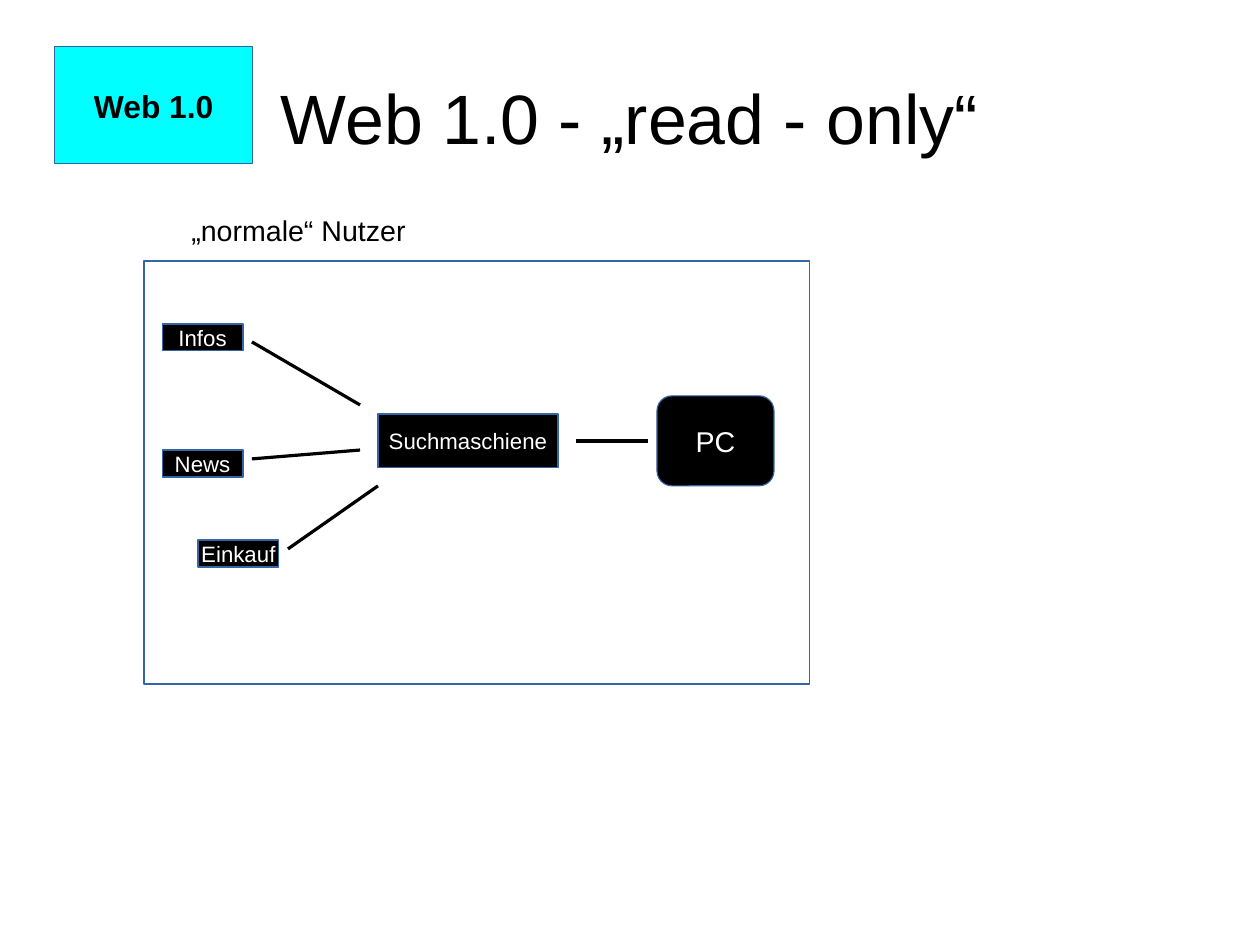
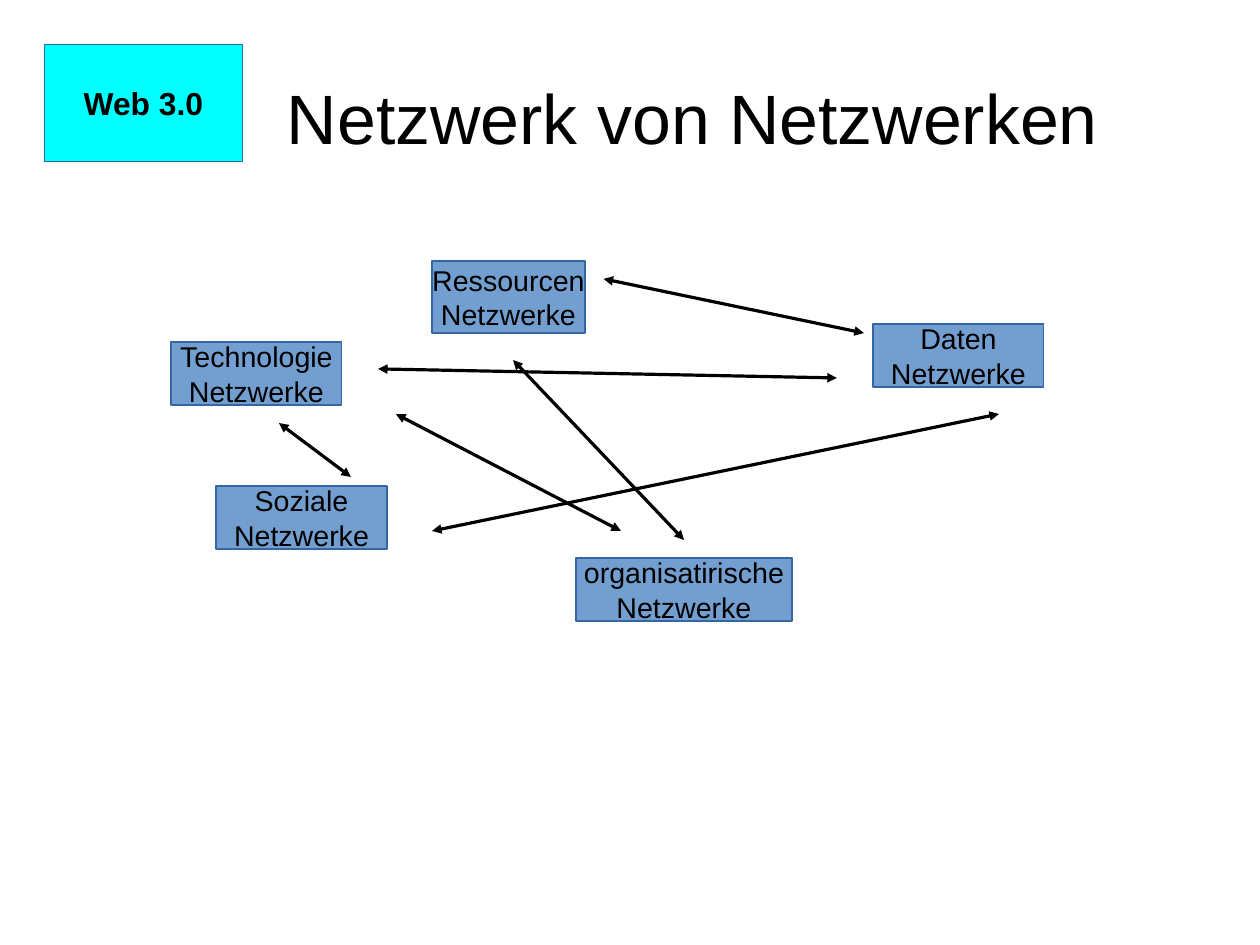
import pptx
import pptx.dml.color
import pptx.enum.shapes
import pptx.enum.text
import pptx.oxml.xmlchemy
import pptx.util

Pt = pptx.util.Pt
RGBColor = pptx.dml.color.RGBColor
OxmlElement = pptx.oxml.xmlchemy.OxmlElement
MSO_SHAPE = pptx.enum.shapes.MSO_SHAPE
PP_ALIGN = pptx.enum.text.PP_ALIGN
MSO_ANCHOR = pptx.enum.text.MSO_ANCHOR
MSO_AUTO_SIZE = pptx.enum.text.MSO_AUTO_SIZE

# Shared style
BLACK = RGBColor(0x00, 0x00, 0x00)
WHITE = RGBColor(0xFF, 0xFF, 0xFF)
CYAN = RGBColor(0x00, 0xFF, 0xFF)
BLUE = RGBColor(0x72, 0x9F, 0xCF)
OUTLINE = RGBColor(0x34, 0x65, 0xA4)
FONT = "Arial"
HAIRLINE = Pt(0)
TITLE_TOP, TITLE_WIDTH, TITLE_HEIGHT = 23.8, 714.3, 99.4
BADGE_WIDTH, BADGE_HEIGHT = 124.7, 73.7


def style_text(frame, size, color, align, bold=False):
    for paragraph in frame.paragraphs:
        paragraph.alignment = align
        font = paragraph.font
        font.name, font.size, font.bold = FONT, Pt(size), bold
        font.color.rgb = color


def add_title(slide, text, left):
    title = slide.shapes.title
    title.left, title.top = Pt(left), Pt(TITLE_TOP)
    title.width, title.height = Pt(TITLE_WIDTH), Pt(TITLE_HEIGHT)
    frame = title.text_frame
    frame.text = text
    frame.margin_left = frame.margin_right = Pt(0)
    frame.margin_top = frame.margin_bottom = Pt(0)
    frame.vertical_anchor = MSO_ANCHOR.MIDDLE
    frame.auto_size = MSO_AUTO_SIZE.NONE
    style_text(frame, 44, BLACK, PP_ALIGN.CENTER)


def add_box(slide, bounds, fill=None, text="", size=18, color=BLACK,
            bold=False, kind=MSO_SHAPE.RECTANGLE):
    box = slide.shapes.add_shape(kind, *map(Pt, bounds))
    box.shadow.inherit = False
    if fill is None:
        box.fill.background()
    else:
        box.fill.solid()
        box.fill.fore_color.rgb = fill
    box.line.color.rgb = OUTLINE
    box.line.width = HAIRLINE
    if text:
        frame = box.text_frame
        frame.text = text
        frame.word_wrap = False
        frame.vertical_anchor = MSO_ANCHOR.MIDDLE
        style_text(frame, size, color, PP_ALIGN.CENTER, bold)


def add_badge(slide, text, left, top):
    add_box(slide, (left, top, BADGE_WIDTH, BADGE_HEIGHT), CYAN, text, 20, bold=True)


def add_label(slide, text, bounds):
    label = slide.shapes.add_textbox(*map(Pt, bounds))
    label.text_frame.word_wrap = True
    label.text_frame.text = text
    style_text(label.text_frame, 18, BLACK, PP_ALIGN.LEFT)


def add_link(slide, ends, arrows=False):
    link = slide.shapes.add_connector(
        pptx.enum.shapes.MSO_CONNECTOR.STRAIGHT, *map(Pt, ends))
    link.line.color.rgb = BLACK
    link.line.width = HAIRLINE
    properties = link._element.spPr
    if arrows:
        for end in ("a:headEnd", "a:tailEnd"):
            arrowhead = OxmlElement(end)
            arrowhead.set("type", "triangle")
            properties.get_or_add_ln().append(arrowhead)
    properties.append(OxmlElement("a:effectLst"))


def new_slide(deck, title, title_left):
    slide = deck.slides.add_slide(deck.slide_layouts[5])
    add_title(slide, title, title_left)
    return slide


def build_read_only(deck):
    slide = new_slide(deck, "Web 1.0 - „read - only“", 39.7)

    # Content sources
    for text, left, top in (("Einkauf", 124.7, 340.2), ("News", 102.1, 283.5),
                            ("Infos", 102.1, 204.1)):
        add_box(slide, (left, top, 51, 17), BLACK, text, 14, WHITE)

    # Links through the search engine to the PC
    for ends in ((158.7, 215.4, 226.8, 255.1), (181.4, 345.8, 238.1, 306.1),
                 (158.7, 289.1, 226.8, 283.5), (362.8, 277.8, 408.2, 277.8)):
        add_link(slide, ends)
    add_box(slide, (238.1, 260.8, 113.4, 34), BLACK, "Suchmaschiene", 14, WHITE)
    add_box(slide, (413.9, 249.4, 73.7, 56.7), BLACK, "PC", 18, WHITE,
            kind=MSO_SHAPE.ROUNDED_RECTANGLE)

    # Frame around the normal users
    add_label(slide, "„normale“ Nutzer", (113.4, 130.4, 228, 28))
    add_box(slide, (90.7, 164.4, 419.5, 266.5))
    add_badge(slide, "Web 1.0", 34.5, 29.5)


def build_networks(deck):
    slide = new_slide(deck, "Netzwerk von Netzwerken", 79.4)

    # Networks
    for kind, bounds in (("Technologie", (107.7, 215.4, 107.7, 39.7)),
                         ("Ressourcen", (272.1, 164.4, 96.4, 45.4)),
                         ("Soziale", (136.1, 306.1, 107.7, 39.7)),
                         ("Daten", (549.9, 204.1, 107.7, 39.7)),
                         ("organisatirische", (362.8, 351.5, 136.1, 39.7))):
        add_box(slide, bounds, BLUE, kind + "\nNetzwerke")

    # Two-way links
    for ends in ((249.4, 260.8, 391.2, 334.5), (380.2, 175.7, 544.2, 209.8),
                 (323.2, 226.8, 430.9, 340.2), (238.1, 232.4, 527.2, 238.1),
                 (272.1, 334.5, 629.3, 260.8), (175.7, 266.5, 221.1, 300.5)):
        add_link(slide, ends, arrows=True)
    add_badge(slide, "Web 3.0", 28, 28)


def main():
    deck = pptx.Presentation()
    deck.slide_width, deck.slide_height = Pt(793.7), Pt(595.3)
    build_read_only(deck)
    build_networks(deck)
    deck.save("out.pptx")


main()
